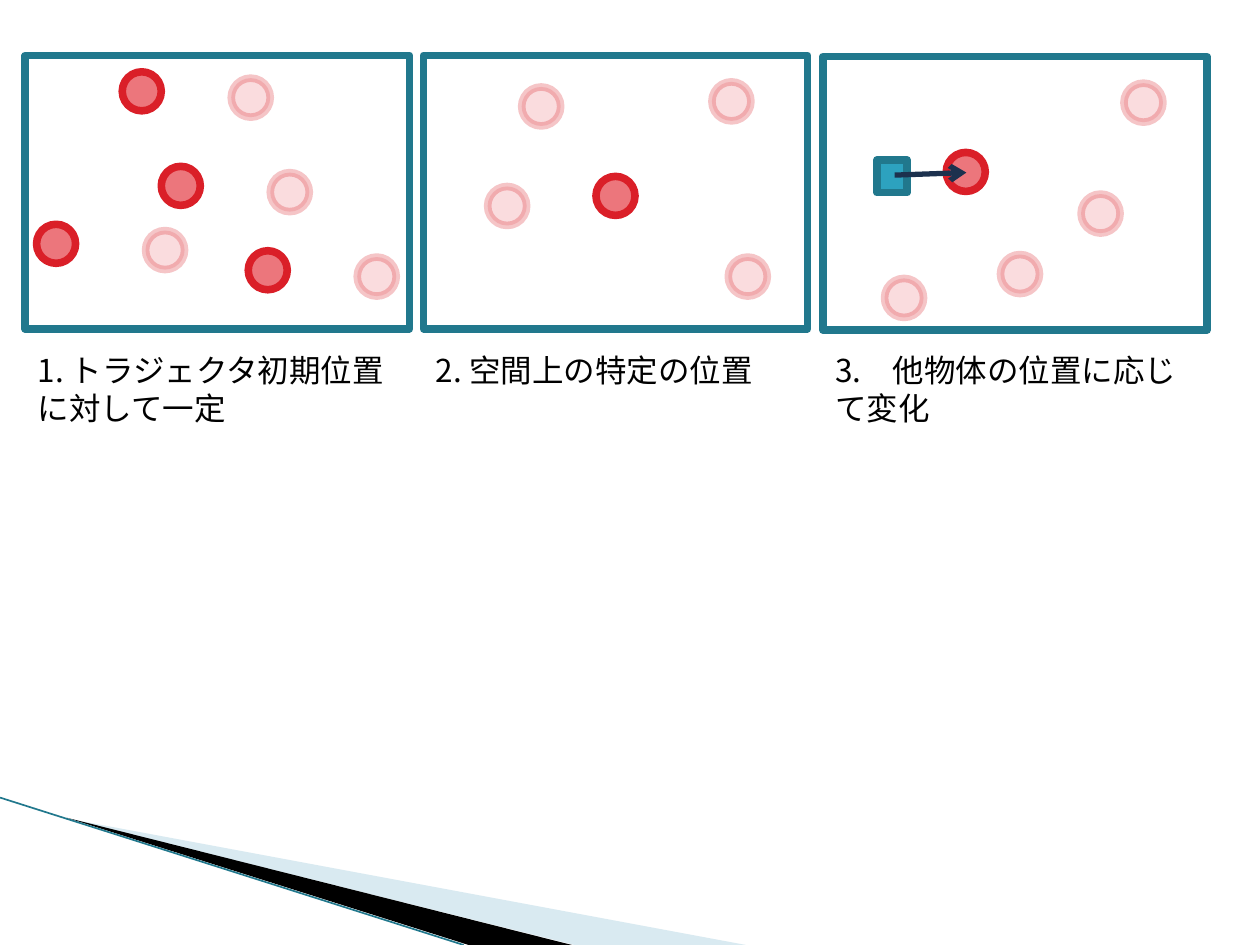
from pptx import Presentation
from pptx.dml.color import RGBColor
from pptx.enum.shapes import MSO_CONNECTOR as Link, MSO_SHAPE as Kind
from pptx.enum.text import MSO_AUTO_SIZE as Fit
from pptx.oxml.ns import qn
from pptx.oxml.xmlchemy import OxmlElement as Node
from pptx.util import Inches, Pt

COLS, ROWS = 100, 75
FONT = "Noto Sans CJK JP"
HUES = {
    "white": "FFFFFF", "black": "000000", "frame": "21788D", "box": "2DA2BF",
    "dot": "EC767C", "ring": "DA1F28", "arrow": "1C314E", "mist": "A0CBDC",
}


def hue(name):
    return RGBColor.from_string(HUES[name])


class Board:
    """Draws on one slide; lengths are columns and rows of the grid."""

    def __init__(self, deck):
        self.slide = deck.slides.add_slide(deck.slide_layouts[6])
        self.shapes = self.slide.shapes
        self.col = deck.slide_width / COLS
        self.row = deck.slide_height / ROWS

    def spot(self, x, y):
        return round(x * self.col), round(y * self.row)

    def fade(self, shape, share):
        for tint in shape._element.spPr.iter(qn("a:srgbClr")):
            alpha = Node("a:alpha")
            alpha.set("val", str(share * 1000))
            tint.append(alpha)

    def form(self, kind, x, y, w, h, fill, line):
        shape = self.shapes.add_shape(kind, *self.spot(x, y), *self.spot(w, h))
        shape.shadow.inherit = False
        shape.fill.solid()
        shape.fill.fore_color.rgb = hue(fill)
        shape.line.color.rgb = hue(line)
        shape.line.width = Pt(4.33)
        shape.line._get_or_add_ln().append(Node("a:round"))
        return shape

    def dot(self, x, y, faint=False):
        shape = self.form(Kind.OVAL, x, y, 3.1, 3.1, "dot", "ring")
        if faint:
            self.fade(shape, 25)

    def wedge(self, points, fill, share=100):
        first, *rest = [self.spot(*point) for point in points]
        pen = self.shapes.build_freeform(*first, scale=1.0)
        pen.add_line_segments(rest, close=True)
        shape = pen.convert_to_shape()
        shape.shadow.inherit = False
        shape.fill.solid()
        shape.fill.fore_color.rgb = hue(fill)
        shape.line.fill.background()
        if share < 100:
            self.fade(shape, share)

    def rule(self, start, end, color, width, arrow=False):
        line = self.shapes.add_connector(
            Link.STRAIGHT, *self.spot(*start), *self.spot(*end))
        line.line.color.rgb = hue(color)
        line.line.width = Pt(width)
        if arrow:
            tip = Node("a:tailEnd")
            tip.set("type", "arrow")
            line.line._get_or_add_ln().append(tip)
        line._element.spPr.append(Node("a:effectLst"))

    def label(self, x, y, w, h, text):
        frame = self.shapes.add_textbox(
            *self.spot(x, y), *self.spot(w, h)).text_frame
        frame.word_wrap = True
        frame.auto_size = Fit.SHAPE_TO_FIT_TEXT
        run = frame.paragraphs[0].add_run()
        run.text = text
        run.font.size = Pt(18)
        run.font.name = FONT
        run.font.color.rgb = hue("black")
        east = Node("a:ea")
        east.set("typeface", FONT)
        run.font._element.append(east)


# Each panel: left, top, caption, caption height, solid dots, faint dots
STARTS = [(9.7, 5.7), (12.8, 13.2), (19.7, 19.9), (2.9, 17.8)]
SHIFT = (8.65, 0.5)
ENDS = [(x + SHIFT[0], y + SHIFT[1]) for x, y in STARTS]
PANELS = [
    (2, 4.4, "1. トラジェクタ初期位置に対して一定", 7.1, STARTS, ENDS),
    (33.6, 4.4, "2. 空間上の特定の位置", 4, [(47.3, 14)],
     [(41.4, 6.9), (56.5, 6.5), (57.8, 20.4), (38.7, 14.8)]),
    (65.3, 4.5, "3.　他物体の位置に応じて変化", 7.1, [(75.1, 12.1)],
     [(79.4, 20.2), (89.2, 6.6), (85.8, 15.4), (70.2, 22.1)]),
]


def main():
    deck = Presentation()
    deck.slide_width, deck.slide_height = Inches(10), Inches(7.5)
    board = Board(deck)

    board.wedge([(5.5, 65), (59.2, 75), (45.6, 75)], "mist", 40)
    board.wedge([(5.3, 64.9), (45.4, 75), (37.2, 75)], "black")
    board.rule((0, 63.3), (36.8, 75), "frame", 0.95)

    for x, y, text, high, solid, faint in PANELS:
        board.form(Kind.RECTANGLE, x, y, 30.5, 21.7, "white", "frame")
        for place in faint:
            board.dot(*place, faint=True)
        for place in solid:
            board.dot(*place)
        board.label(x, 27.4, 30.5, high, text)

    board.form(Kind.RECTANGLE, 69.6, 12.7, 2.4, 2.6, "box", "frame")
    board.rule((71, 13.9), (76.7, 13.7), "arrow", 3, arrow=True)
    deck.save("out.pptx")


if __name__ == "__main__":
    main()
